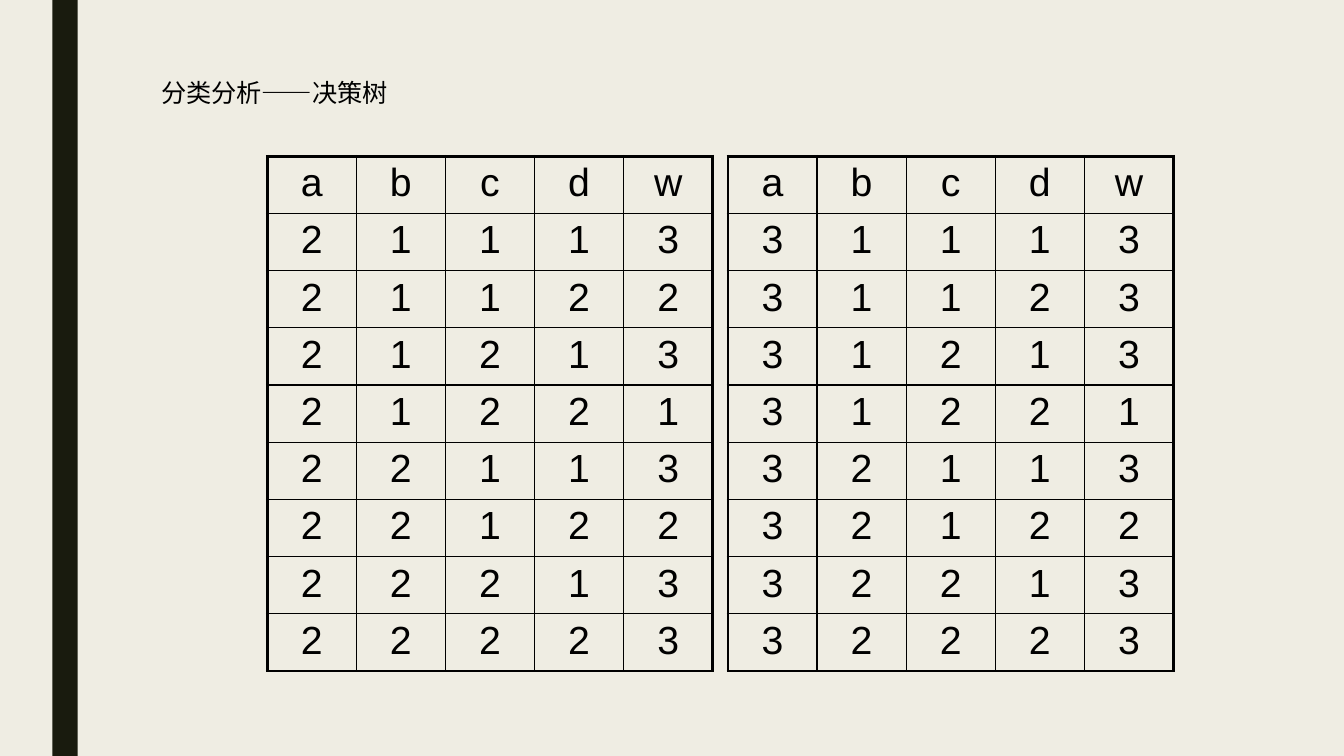
from lxml.etree import SubElement
from pptx import Presentation
from pptx.dml.color import RGBColor
from pptx.enum.shapes import MSO_SHAPE
from pptx.enum.text import PP_ALIGN
from pptx.oxml.ns import qn
from pptx.util import Inches, Pt

TITLE = "分类分析——决策树"
HEADER = "abcdw"
SAMPLES = [
    ["21113", "21122", "21213", "21221", "22113", "22122", "22213", "22223"],
    ["31113", "31123", "31213", "31221", "32113", "32122", "32213", "32223"],
]
INK, BAND, PAPER = "000000", "191B0E", "EFEDE3"
WIDTH, HEIGHT = 13.33, 7.5
TABLE_LEFT, TABLE_TOP, TABLE_WIDTH, TABLE_HEIGHT = 2.65, 1.55, 4.42, 5.1
TABLE_GAP = 0.15
OUTER_LINE, INNER_LINE = 2.25, 1


def color(value):
    return RGBColor.from_string(value)


def set_font(paragraph, name, size):
    paragraph.font.name = name
    paragraph.font.size = Pt(size)
    paragraph.font.color.rgb = color(INK)


def set_borders(cell, edges):
    properties = cell._tc.get_or_add_tcPr()
    for side, outer in edges.items():
        width = OUTER_LINE if outer else INNER_LINE
        line = SubElement(properties, qn(f"a:ln{side}"), w=str(Pt(width)))
        fill = SubElement(line, qn("a:solidFill"))
        SubElement(fill, qn("a:srgbClr"), val=INK)


def add_sample_table(slide, left, rows):
    row_count, column_count = len(rows), len(rows[0])
    table = slide.shapes.add_table(
        row_count, column_count, Inches(left), Inches(TABLE_TOP),
        Inches(TABLE_WIDTH), Inches(TABLE_HEIGHT)).table
    table.first_row = table.horz_banding = False
    for row_index, row in enumerate(rows):
        for column_index, value in enumerate(row):
            cell = table.cell(row_index, column_index)
            cell.text = value
            paragraph = cell.text_frame.paragraphs[0]
            paragraph.alignment = PP_ALIGN.CENTER
            set_font(paragraph, "Arial", 28)
            set_borders(cell, {
                "L": column_index == 0,
                "R": column_index == column_count - 1,
                "T": row_index == 0,
                "B": row_index == row_count - 1,
            })
            cell.fill.background()


def main():
    """Build the decision tree slide with its two sample tables."""
    presentation = Presentation()
    presentation.slide_width = Inches(WIDTH)
    presentation.slide_height = Inches(HEIGHT)
    slide = presentation.slides.add_slide(presentation.slide_layouts[6])
    slide.background.fill.solid()
    slide.background.fill.fore_color.rgb = color(PAPER)

    band = slide.shapes.add_shape(
        MSO_SHAPE.RECTANGLE, Inches(0.52), 0, Inches(0.25), Inches(HEIGHT))
    band.shadow.inherit = False
    band.fill.solid()
    band.fill.fore_color.rgb = color(BAND)
    band.line.fill.background()

    title = slide.shapes.add_textbox(
        Inches(1.5), Inches(0.75), Inches(10.5), Inches(1.62))
    title.text_frame.word_wrap = True
    paragraph = title.text_frame.paragraphs[0]
    paragraph.text = TITLE
    paragraph.line_spacing = 0.9
    set_font(paragraph, "Cabin", 18)

    for index, samples in enumerate(SAMPLES):
        left = TABLE_LEFT + index * (TABLE_WIDTH + TABLE_GAP)
        add_sample_table(slide, left, [HEADER, *samples])

    presentation.save("out.pptx")


if __name__ == "__main__":
    main()
